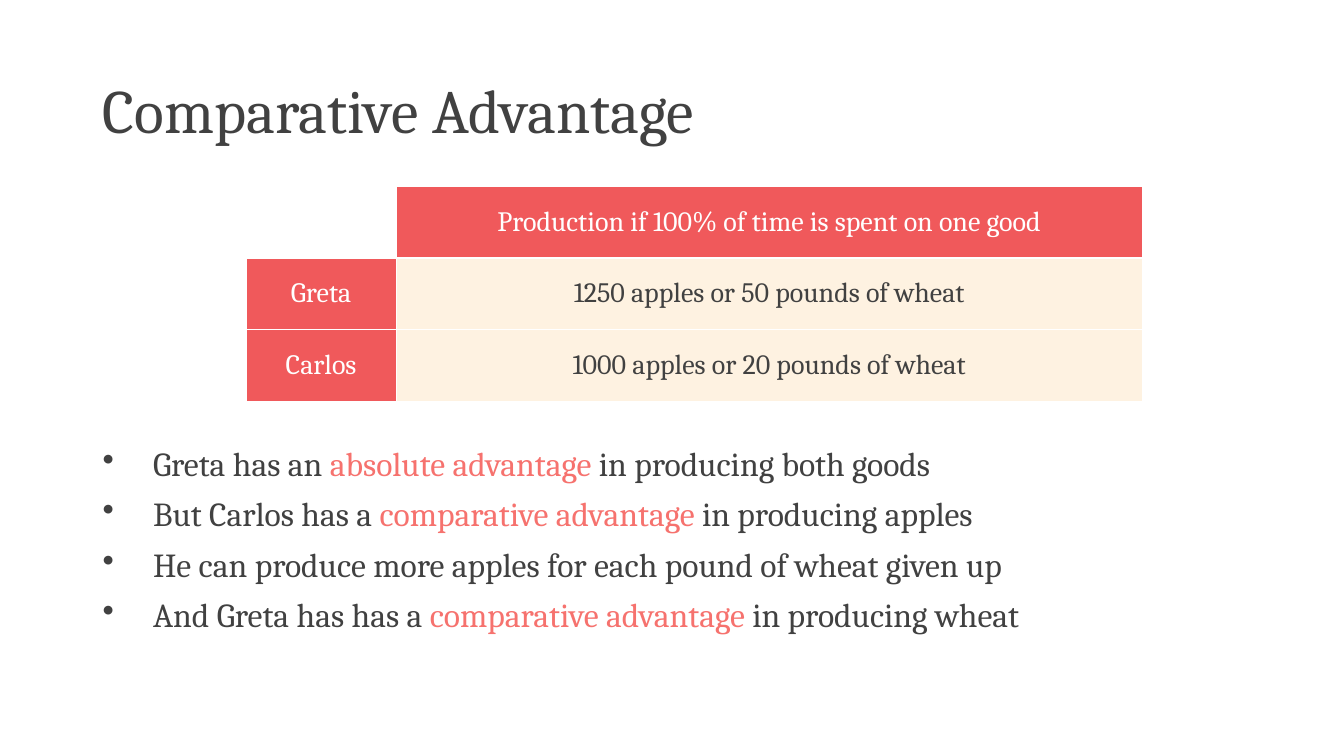
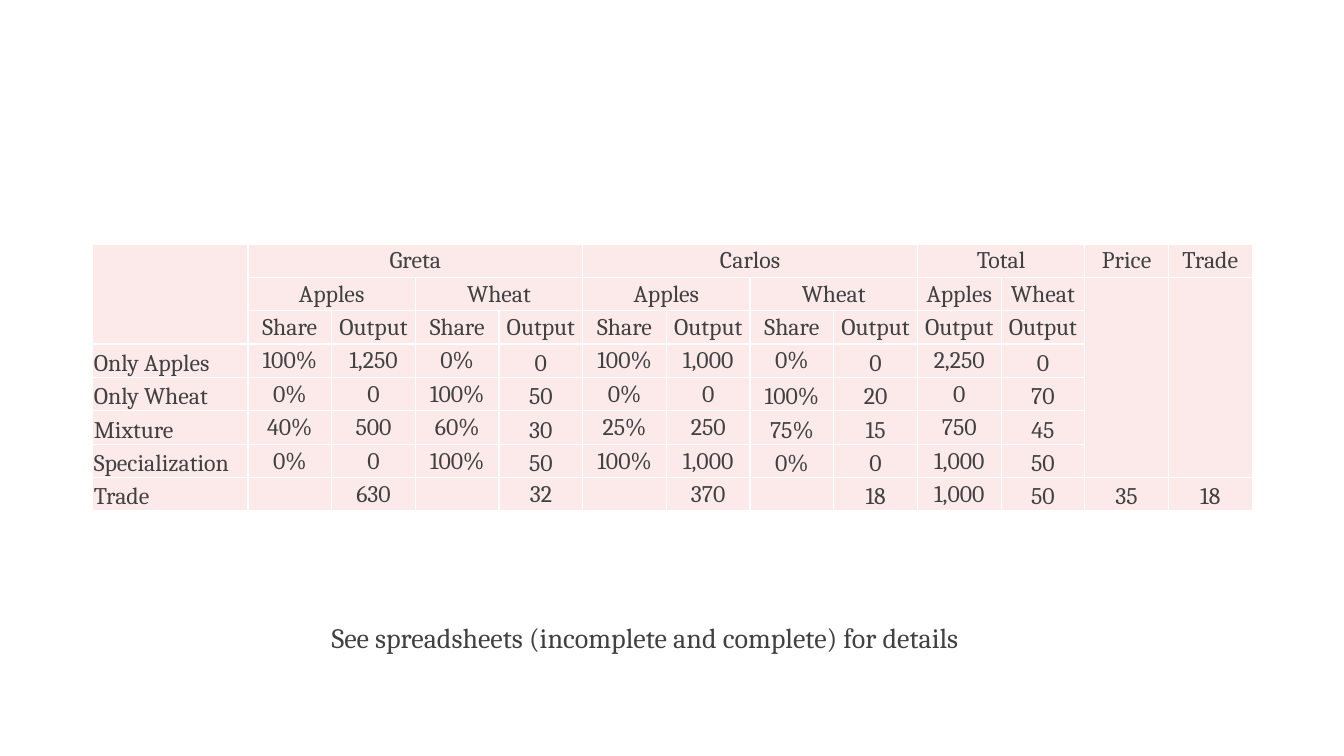
from lxml.etree import SubElement
from pptx import Presentation
from pptx.dml.color import RGBColor
from pptx.enum.text import MSO_ANCHOR, PP_ALIGN
from pptx.oxml.ns import qn
from pptx.util import Inches, Pt

COLORS = {
    "text": "414141",
    "accent": "F6726E",
    "header": "F0595B",
    "cream": "FEF2E1",
    "blush": "FCEAEA",
    "white": "FFFFFF",
}
FONT = "Cambria"


class Deck:
    """Holds the shared style and the slide being built."""

    def __init__(self):
        self.presentation = Presentation()
        self.presentation.slide_width = Inches(13.33)
        self.presentation.slide_height = Inches(7.5)
        self.slide = None

    def add_slide(self, title=None):
        layouts = self.presentation.slide_layouts
        name = "Title Only" if title else "Blank"
        self.slide = self.presentation.slides.add_slide(layouts.get_by_name(name))
        if title:
            self.title(title)

    def title(self, text):
        shape = self.slide.shapes.title
        shape.left, shape.top = Inches(0.92), Inches(0.4)
        shape.width, shape.height = Inches(11.5), Inches(1.45)
        shape.text_frame.text = text
        shape.text_frame.vertical_anchor = MSO_ANCHOR.MIDDLE
        paragraph = shape.text_frame.paragraphs[0]
        paragraph.alignment = PP_ALIGN.LEFT
        paragraph.line_spacing = 0.9
        self.font(paragraph, 44)

    def font(self, paragraph, size, color="text"):
        paragraph.font.name = FONT
        paragraph.font.size = Pt(size)
        paragraph.font.color.rgb = RGBColor.from_string(COLORS[color])

    def text_box(self, left, top, width, height):
        shape = self.slide.shapes.add_textbox(
            Inches(left), Inches(top), Inches(width), Inches(height))
        shape.text_frame.word_wrap = True
        return shape.text_frame

    def note(self, box, text, size):
        paragraph = self.text_box(*box).paragraphs[0]
        paragraph.text = text
        self.font(paragraph, size)

    def bullets(self, box, items, size):
        """Adds bulleted items; the second part of each item is highlighted."""
        frame = self.text_box(*box)
        for index, parts in enumerate(items):
            paragraph = frame.add_paragraph() if index else frame.paragraphs[0]
            paragraph.line_spacing = 0.9
            paragraph.space_before = Pt(10)
            self.font(paragraph, size)
            properties = paragraph._p.get_or_add_pPr()
            properties.set("marL", str(Inches(0.5)))
            properties.set("indent", str(-Inches(0.5)))
            bullet = properties.makeelement(qn("a:buChar"), {"char": "•"})
            properties.find(qn("a:defRPr")).addprevious(bullet)
            for position, text in enumerate(parts):
                run = paragraph.add_run()
                run.text = text
                if position == 1:
                    run.font.color.rgb = RGBColor.from_string(COLORS["accent"])

    def table(self, box, widths, rows, size, spans=()):
        left, top, width, height = box
        table = self.slide.shapes.add_table(
            len(rows), len(widths), Inches(left), Inches(top),
            Inches(width), Inches(height)).table
        table.first_row = table.horz_banding = False
        for column, column_width in zip(table.columns, widths):
            column.width = Inches(column_width)
        for row_index, values in enumerate(rows):
            for column_index, text in enumerate(values):
                cell = table.cell(row_index, column_index)
                cell.text = text
                cell.vertical_anchor = MSO_ANCHOR.MIDDLE
                paragraph = cell.text_frame.paragraphs[0]
                paragraph.alignment = PP_ALIGN.CENTER
                self.font(paragraph, size)
                self.borders(cell)
        for row, column, row_count, column_count in spans:
            end = table.cell(row + row_count - 1, column + column_count - 1)
            table.cell(row, column).merge(end)
        return table

    def borders(self, cell):
        properties = cell._tc.get_or_add_tcPr()
        for side in ("a:lnL", "a:lnR", "a:lnT", "a:lnB"):
            line = SubElement(properties, qn(side), w=str(Pt(1)))
            fill = SubElement(line, qn("a:solidFill"))
            SubElement(fill, qn("a:srgbClr"), val=COLORS["white"])

    def fill(self, cell, color):
        cell.fill.solid()
        cell.fill.fore_color.rgb = RGBColor.from_string(COLORS[color])

    def production_table(self, box, widths, rows):
        table = self.table(box, widths, rows, 20)
        for row in range(len(rows)):
            for column in range(len(widths)):
                cell = table.cell(row, column)
                if row and column:
                    self.fill(cell, "cream")
                elif row or column:
                    self.fill(cell, "header")
                    self.font(cell.text_frame.paragraphs[0], 20, "white")
                else:
                    cell.fill.background()

    def trade_table(self, box, widths, rows, spans, bottom_columns):
        table = self.table(box, widths, rows, 17, spans)
        for row in range(len(rows)):
            for column in range(len(widths)):
                cell = table.cell(row, column)
                self.fill(cell, "blush")
                cell.margin_left = cell.margin_right = cell.margin_top = Inches(0.01)
                cell.margin_bottom = 0
                if column in bottom_columns.get(row, ()):
                    cell.vertical_anchor = MSO_ANCHOR.BOTTOM
                if column == 0:
                    cell.text_frame.paragraphs[0].alignment = PP_ALIGN.LEFT


def build_advantage(deck):
    deck.add_slide("Comparative Advantage")
    deck.bullets((0.92, 4.39, 11.5, 2.13), [
        ("Greta has an ", "absolute advantage ", "in producing both goods"),
        ("But Carlos has a ", "comparative advantage ", "in producing apples"),
        ("He can produce more apples for each pound of wheat given up",),
        ("And Greta has has a ", "comparative advantage ", "in producing wheat"),
    ], 24)
    deck.production_table((2.44, 1.85, 8.89, 2.13), (1.49, 7.4), [
        ("", "Production if 100% of time is spent on one good"),
        ("Greta", "1250 apples or 50 pounds of wheat"),
        ("Carlos", "1000 apples or 20 pounds of wheat"),
    ])


def build_trade(deck):
    deck.add_slide()
    goods = ["Apples", "", "Wheat", ""]
    measures = ["Share", "Output"]
    rows = [
        ["", "Greta", "", "", "", "Carlos", "", "", "", "Total", "", "Price", "Trade"],
        ["", *goods * 2, "Apples", "Wheat", "", ""],
        ["", *measures * 4, "Output", "Output", "", ""],
        ["Only Apples", "100%", "1,250", "0%", "0", "100%", "1,000", "0%", "0",
         "2,250", "0", "", ""],
        ["Only Wheat", "0%", "0", "100%", "50", "0%", "0", "100%", "20",
         "0", "70", "", ""],
        ["Mixture", "40%", "500", "60%", "30", "25%", "250", "75%", "15",
         "750", "45", "", ""],
        ["Specialization", "0%", "0", "100%", "50", "100%", "1,000", "0%", "0",
         "1,000", "50", "", ""],
        ["Trade", "", "630", "", "32", "", "370", "", "18",
         "1,000", "50", "35", "18"],
    ]
    spans = [(0, 0, 3, 1), (0, 1, 1, 4), (0, 5, 1, 4), (0, 9, 1, 2)]
    spans += [(1, column, 1, 2) for column in (1, 3, 5, 7)]
    spans += [(1, column, 6, 1) for column in (11, 12)]
    bottom_columns = {row: (0, 4, 7, 8, 10) for row in (4, 5, 6)}
    bottom_columns[3] = (0, 4, 8, 10)
    bottom_columns[7] = (0, 8, 10, 11, 12)
    deck.trade_table((0.92, 2.42, 11.5, 2.65), [1.54] + [0.83] * 12,
                     rows, spans, bottom_columns)
    deck.note((3.19, 6.11, 6.95, 0.44),
              "See spreadsheets (incomplete and complete) for details", 20)


deck = Deck()
build_advantage(deck)
build_trade(deck)
deck.presentation.save("out.pptx")
